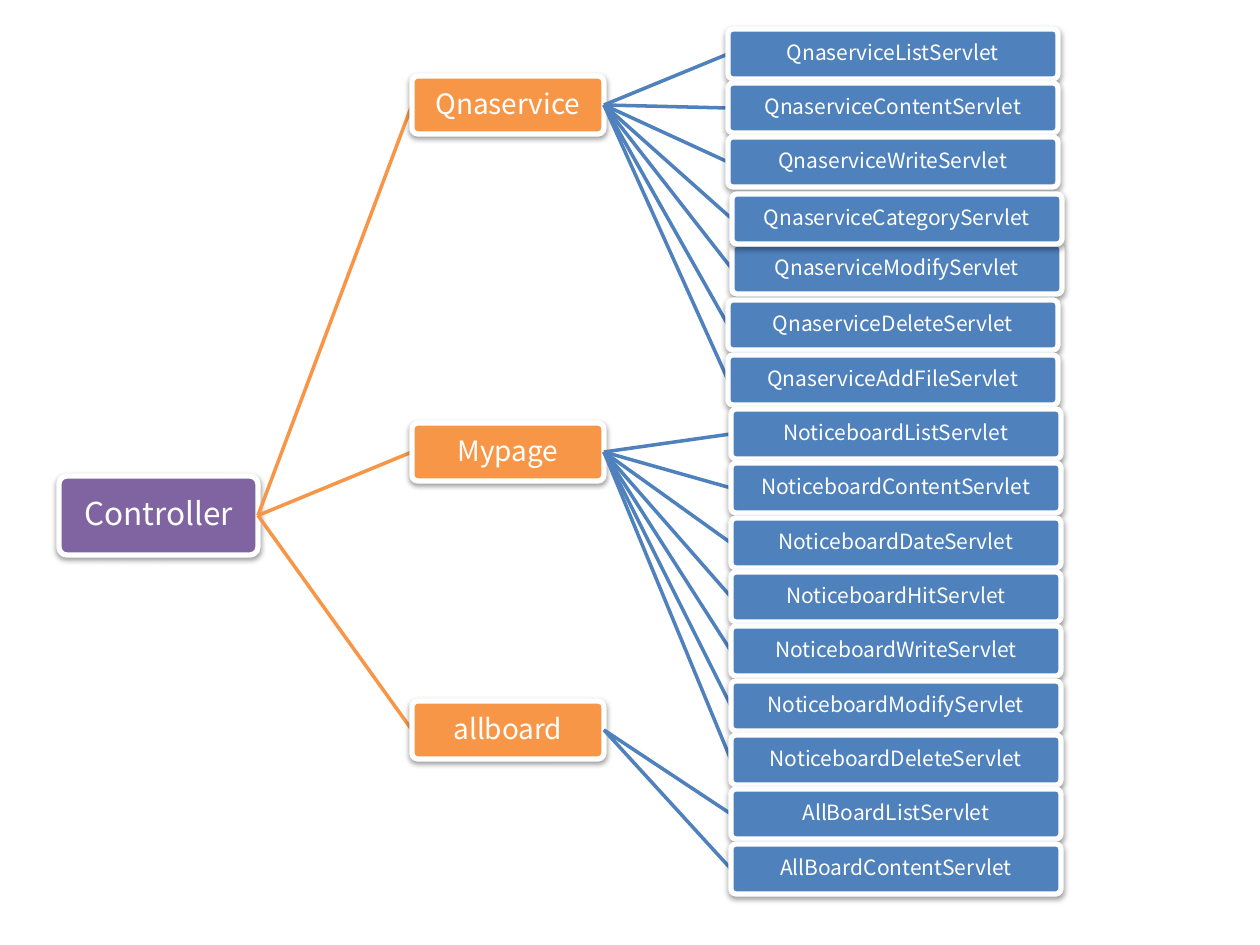
from lxml import etree
from pptx import Presentation
from pptx.dml.color import RGBColor
from pptx.enum.shapes import MSO_CONNECTOR, MSO_SHAPE
from pptx.enum.text import MSO_ANCHOR, PP_ALIGN
from pptx.oxml.ns import qn
from pptx.util import Pt

ROUND = MSO_SHAPE.ROUNDED_RECTANGLE
LINE = MSO_CONNECTOR.STRAIGHT
MIDDLE = MSO_ANCHOR.MIDDLE
CENTER = PP_ALIGN.CENTER

SCALE = 914400 / 126
COLORS = {"root": "8064A2", "branch": "F79646", "leaf": "4F81BD",
          "white": "FFFFFF", "shadow": "000000"}
SIZES = {"root": 18, "branch": 16, "leaf": 12}
FONT = "Noto Sans CJK KR"

ROOT = (59, 476, 199, 79)
# name, branch top, leaf left, leaf names from top to bottom
GROUPS = [
    ("Qnaservice", 76, 728, [
        "QnaserviceListServlet", "QnaserviceContentServlet",
        "QnaserviceWriteServlet", "QnaserviceCategoryServlet",
        "QnaserviceModifyServlet", "QnaserviceDeleteServlet",
        "QnaserviceAddFileServlet"]),
    ("Mypage", 423, 731, [
        "NoticeboardListServlet", "NoticeboardContentServlet",
        "NoticeboardDateServlet", "NoticeboardHitServlet",
        "NoticeboardWriteServlet", "NoticeboardModifyServlet",
        "NoticeboardDeleteServlet"]),
    ("allboard", 701, 731, ["AllBoardListServlet", "AllBoardContentServlet"]),
]
BRANCH_X, BRANCH_W, BRANCH_H = 412, 192, 58
LEAF_TOP, LEAF_W, LEAF_H = 29, 330, 50
# Sixteen leaves share one pitch of 163 px per three rows.
SPAN, ROWS = 163, 3
SHIFTS = {"QnaserviceCategoryServlet": (4, 2),
          "QnaserviceModifyServlet": (4, -2)}
FRONT = "QnaserviceCategoryServlet"


def px(num):
    return round(num * SCALE)


def rgb(key):
    return RGBColor.from_string(COLORS[key])


def assign(item, values):
    for key, value in values.items():
        setattr(item, key, value)


def add_shadow(shape):
    shape.shadow.inherit = False
    effects = shape._element.spPr.find(qn("a:effectLst"))
    outer = etree.SubElement(effects, qn("a:outerShdw"), blurRad="40000",
                             dist="20000", dir="5400000", rotWithShape="0")
    color = etree.SubElement(outer, qn("a:srgbClr"), val=COLORS["shadow"])
    etree.SubElement(color, qn("a:alpha"), val="38000")


def add_node(slide, box, text, kind):
    shape = slide.shapes.add_shape(ROUND, *map(px, box))
    shape.adjustments[0] = 0.1
    shape.fill.solid()
    shape.fill.fore_color.rgb = rgb(kind)
    shape.line.color.rgb = rgb("white")
    shape.line.width = Pt(3)
    add_shadow(shape)
    frame = shape.text_frame
    inset = px(3)
    assign(frame, {"word_wrap": True, "vertical_anchor": MIDDLE,
                   "margin_left": inset, "margin_right": inset,
                   "margin_top": inset, "margin_bottom": inset})
    para = frame.paragraphs[0]
    assign(para, {"text": text, "alignment": CENTER, "line_spacing": 0.9})
    font = para.runs[0].font
    assign(font, {"name": FONT, "size": Pt(SIZES[kind])})
    font.color.rgb = rgb("white")


def add_link(slide, start, end, kind):
    """Join the right middle of one box to the left middle of another."""
    x, y, w, h = start
    left, top, _, high = end
    ends = (x + w, y + h / 2, left, top + high / 2)
    link = slide.shapes.add_connector(LINE, *map(px, ends))
    link.line.color.rgb = rgb(kind)
    link.line.width = Pt(2)
    etree.SubElement(link._element.spPr, qn("a:effectLst"))


def add_child(slide, parent, box, text, kind):
    add_link(slide, parent, box, kind)
    add_node(slide, box, text, kind)


def add_leaves(slide, parent, left, first, names):
    """Stack leaves from the given row; the front leaf is drawn last."""
    rows = sorted(enumerate(names, first), key=lambda row: row[1] == FRONT)
    for row, name in rows:
        dx, dy = SHIFTS.get(name, (0, 0))
        top = LEAF_TOP + row * SPAN // ROWS
        box = (left + dx, top + dy, LEAF_W, LEAF_H)
        add_child(slide, parent, box, name, "leaf")


def add_tree(slide):
    add_node(slide, ROOT, "Controller", "root")
    first = 0
    for name, top, left, names in GROUPS:
        box = (BRANCH_X, top, BRANCH_W, BRANCH_H)
        add_child(slide, ROOT, box, name, "branch")
        add_leaves(slide, box, left, first, names)
        first += len(names)


def main():
    deck = Presentation()
    assign(deck, {"slide_width": px(1260), "slide_height": px(945)})
    slide = deck.slides.add_slide(deck.slide_layouts[6])
    add_tree(slide)
    deck.save("out.pptx")


if __name__ == "__main__":
    main()
